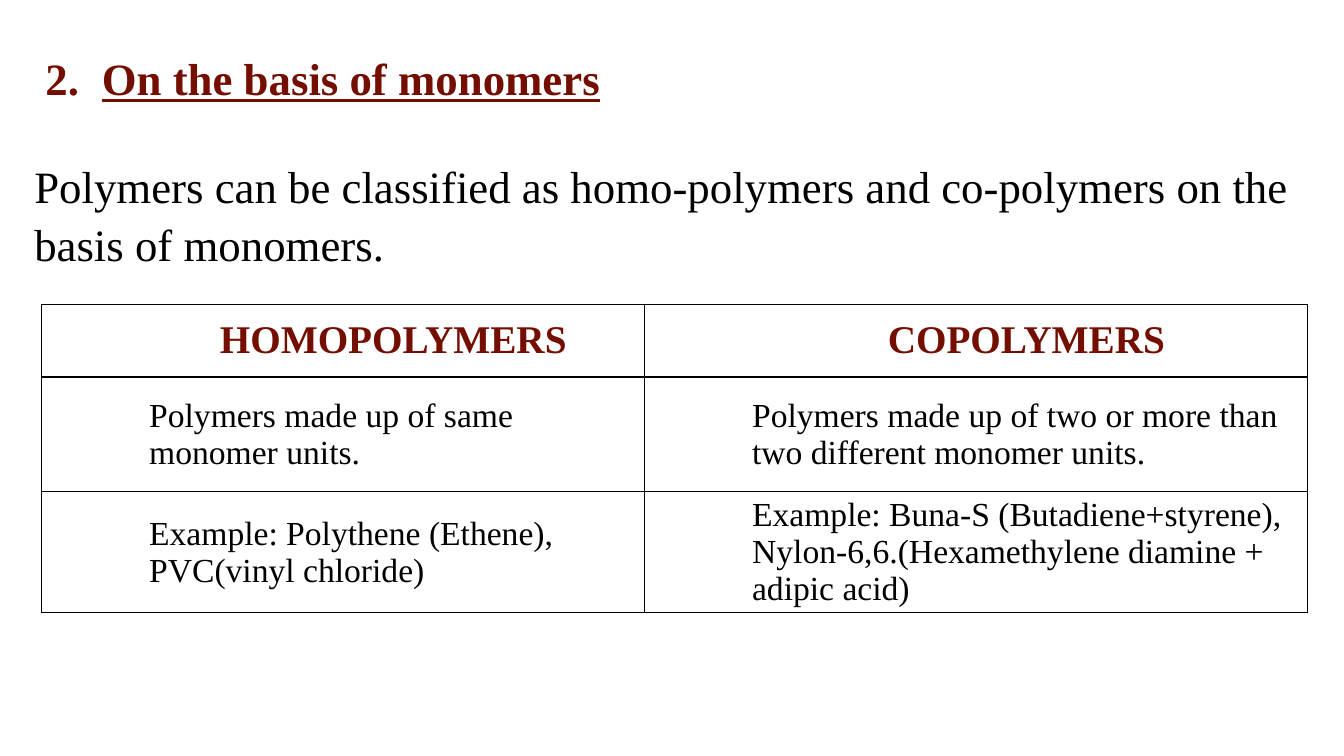
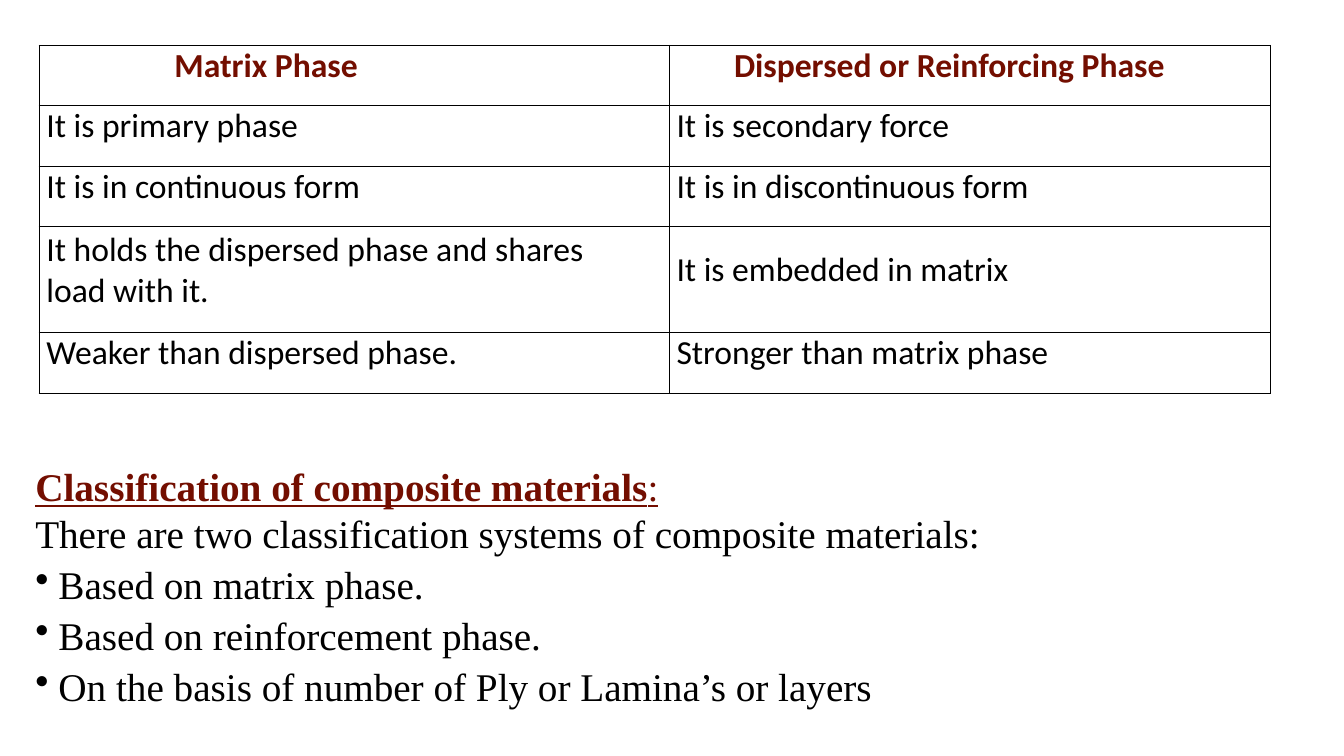
"""Build two slides on the classification of polymers and composite materials."""
from pptx import Presentation
from pptx.dml.color import RGBColor
from pptx.enum.text import MSO_ANCHOR, MSO_AUTO_SIZE, PP_ALIGN
from pptx.oxml import parse_xml
from pptx.oxml.ns import nsdecls
from pptx.util import Inches, Pt

RED, BLACK, WHITE = "730E00", "000000", "FFFFFF"
SERIF, SANS = "Times New Roman", "Calibri"
SPACING = 1.08

BOLD = {"bold": True, "color": RED}
LINED = {"bold": True, "color": RED, "under": True}

SLIDES = [
    {
        "size": 32,
        "title": {
            "at": (0.45, 0.46, 12.4, 0.54),
            "runs": [("2.\t", BOLD), ("On the basis of monomers", LINED)],
            "hang": 0.56,
        },
        "body": {
            "at": (0.34, 1.53, 12.59, 1.1),
            "lines": [("Polymers can be classified as homo-polymers and "
                       "co-polymers on the basis of monomers.", False)],
        },
        "table": {
            "at": (0.41, 3.02),
            "cols": [5.98, 6.58],
            "rows": [0.72, 1.14, 1.2],
            "font": SERIF,
            "sizes": (28, 24),
            "insets": (0.07, 0, 0.07, 0),
            "indents": {"head": (1, 1), "cell": (1, 1)},
            "align": PP_ALIGN.CENTER,
            "cells": [
                ("HOMOPOLYMERS", "COPOLYMERS"),
                ("Polymers made up of same monomer units.",
                 "Polymers made up of two or more than two different monomer units."),
                ("Example: Polythene (Ethene), PVC(vinyl chloride)",
                 "Example: Buna-S (Butadiene+styrene), "
                 "Nylon-6,6.(Hexamethylene diamine + adipic acid)"),
            ],
        },
    },
    {
        "size": 28,
        "title": {
            "at": (0.35, 4.55, 12.52, 0.47),
            "runs": [("Classification of composite materials", LINED),
                     (":", {"color": RED, "under": True})],
            "hang": 0,
        },
        "body": {
            "at": (0.35, 5.02, 12.52, 1.88),
            "lines": [
                ("There are two classification systems of composite materials:", False),
                ("Based on matrix phase.", True),
                ("Based on reinforcement phase.", True),
                ("On the basis of number of Ply or Lamina’s or layers", True),
            ],
        },
        "table": {
            "at": (0.39, 0.45),
            "cols": [6.25, 5.96],
            "rows": [0.6, 0.6, 0.6, 1.05, 0.6],
            "font": SANS,
            "sizes": (24, 24),
            "insets": (0.07, 0, 0.5, 0.19),
            "indents": {"head": (1.27, 0.57), "cell": (0, 0)},
            "align": PP_ALIGN.LEFT,
            "cells": [
                ("Matrix Phase", "Dispersed or Reinforcing Phase"),
                ("It is primary phase", "It is secondary force"),
                ("It is in continuous form", "It is in discontinuous form"),
                ("It holds the dispersed phase and shares load with it.",
                 "It is embedded in matrix"),
                ("Weaker than dispersed phase.", "Stronger than matrix phase"),
            ],
        },
    },
]


def tint(text):
    return RGBColor.from_string(text)


def write(par, text, size, font=SERIF, color=BLACK, bold=False, under=False):
    run = par.add_run()
    run.text = text
    run.font.name, run.font.size = font, Pt(size)
    run.font.bold, run.font.underline = bold, under
    run.font.color.rgb = tint(color)


def indent(par, left, first=0):
    props = par._p.get_or_add_pPr()
    props.set("marL", str(Inches(left)))
    props.set("indent", str(Inches(first)))
    return props


def pad(item, insets):
    sides = ("margin_left", "margin_top", "margin_right", "margin_bottom")
    for side, inset in zip(sides, insets):
        setattr(item, side, Inches(inset))


def frame(shape):
    text = shape.text_frame
    text.word_wrap = True
    text.auto_size = MSO_AUTO_SIZE.NONE
    text.vertical_anchor = MSO_ANCHOR.TOP
    pad(text, (0, 0, 0, 0))
    return text


def add_title(slide, spec, size):
    title = slide.shapes.title
    title.left, title.top, title.width, title.height = map(Inches, spec["at"])
    par = frame(title).paragraphs[0]
    par.alignment = PP_ALIGN.LEFT
    par.line_spacing = SPACING
    indent(par, spec["hang"], -spec["hang"])
    for text, style in spec["runs"]:
        write(par, text, size, **style)


def add_body(slide, spec, size):
    text = frame(slide.shapes.add_textbox(*map(Inches, spec["at"])))
    for num, (line, dot) in enumerate(spec["lines"]):
        par = text.add_paragraph() if num else text.paragraphs[0]
        par.line_spacing = SPACING
        if dot:
            props = indent(par, 0.23, -0.23)
            props.append(parse_xml(f'<a:buChar {nsdecls("a")} char="•"/>'))
        write(par, line, size)


def border(cell):
    props = cell._tc.get_or_add_tcPr()
    for num, side in enumerate(("lnL", "lnR", "lnT", "lnB")):
        props.insert(num, parse_xml(
            f'<a:{side} {nsdecls("a")} w="{Pt(1)}"><a:solidFill>'
            f'<a:srgbClr val="{BLACK}"/></a:solidFill></a:{side}>'))


def add_grid(slide, spec):
    cols, rows = spec["cols"], spec["rows"]
    box = (*spec["at"], sum(cols), sum(rows))
    table = slide.shapes.add_table(len(rows), len(cols), *map(Inches, box)).table
    table.first_row = table.horz_banding = False
    for col, width in zip(table.columns, cols):
        col.width = Inches(width)
    for row, height in zip(table.rows, rows):
        row.height = Inches(height)
    for i, texts in enumerate(spec["cells"]):
        kind = "cell" if i else "head"
        size = spec["sizes"][min(i, 1)]
        style = {} if i else BOLD
        for j, text in enumerate(texts):
            cell = table.cell(i, j)
            cell.fill.solid()
            cell.fill.fore_color.rgb = tint(WHITE)
            cell.vertical_anchor = MSO_ANCHOR.MIDDLE
            pad(cell, spec["insets"])
            border(cell)
            par = cell.text_frame.paragraphs[0]
            par.alignment = PP_ALIGN.LEFT if i else spec["align"]
            indent(par, spec["indents"][kind][j])
            write(par, text, size, spec["font"], **style)


def main():
    deck = Presentation()
    deck.slide_width, deck.slide_height = Inches(13.33), Inches(7.5)
    for spec in SLIDES:
        slide = deck.slides.add_slide(deck.slide_layouts[5])
        add_title(slide, spec["title"], spec["size"])
        add_body(slide, spec["body"], spec["size"])
        add_grid(slide, spec["table"])
    deck.save("out.pptx")


if __name__ == "__main__":
    main()
